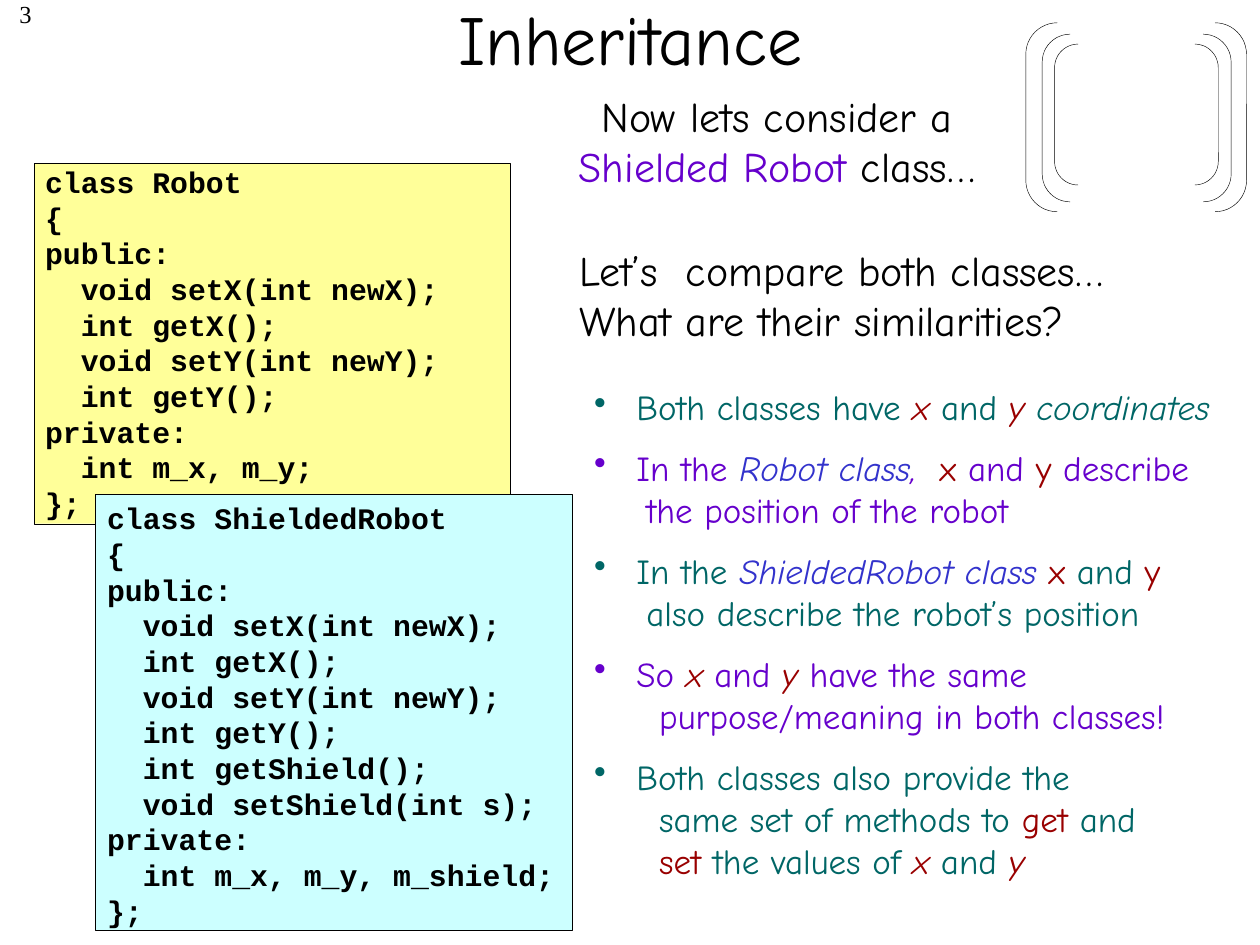
from dataclasses import dataclass
from typing import Any, NamedTuple

from lxml.etree import SubElement
from pptx import Presentation
from pptx.dml.color import RGBColor
from pptx.enum.shapes import MSO_SHAPE
from pptx.enum.text import MSO_ANCHOR, PP_ALIGN
from pptx.oxml.ns import qn
from pptx.util import Cm, Pt

BLACK = RGBColor(0x00, 0x00, 0x00)
PURPLE = RGBColor(0x66, 0x00, 0xCC)
TEAL = RGBColor(0x00, 0x66, 0x66)
RED = RGBColor(0x99, 0x00, 0x00)
BLUE = RGBColor(0x33, 0x33, 0xCC)
YELLOW = RGBColor(0xFF, 0xFF, 0x99)
CYAN = RGBColor(0xCC, 0xFF, 0xFF)

HEADING = {"name": "Comic Neue", "size": Pt(40)}
STATEMENT = {"name": "Comic Neue", "size": Pt(24)}
POINT = {"name": "Comic Neue", "size": Pt(20)}
CODE = {"name": "Courier New", "size": Pt(17), "bold": True}
PAGE_NUMBER = {"name": "Times New Roman", "size": Pt(14)}


class Box(NamedTuple):
    left: float
    top: float
    width: float
    height: float

    def lengths(self) -> list:
        return [Cm(value) for value in self]


class Span(NamedTuple):
    text: str
    color: RGBColor = BLACK
    italic: bool = False


@dataclass
class Listing:
    panel: Box
    text_box: Box
    fill: RGBColor
    lines: list[str]


@dataclass
class Line:
    spans: list[Span]
    margin: float = 0.85
    bulleted: bool = True


ACCESSORS = ["  void setX(int newX);", "  int getX();\v  void setY(int newY);", "  int getY();"]

LISTINGS = [
    Listing(Box(0.69, 3.3, 9.6, 7.26), Box(0.66, 3.18, 11.23, 7.44), YELLOW,
            ["class Robot", "{", "public:", *ACCESSORS,
             "private:", "  int m_x, m_y;", "};"]),
    Listing(Box(1.93, 9.96, 9.6, 8.79), Box(1.91, 9.96, 11.23, 8.97), CYAN,
            ["class ShieldedRobot", "{", "public:", *ACCESSORS,
             "  int getShield();", "  void setShield(int s);",
             "private:", "  int m_x, m_y, m_shield;", "};"]),
]

BRACKETS = [Box(21.01, 0.69, 3.81, 3.38), Box(21.26, 0.89, 3.3, 2.84), Box(20.68, 0.46, 4.45, 3.81)]

SIMILARITIES = [
    Line([Span("Both classes have ", TEAL), Span("x", RED, True), Span(" and ", TEAL),
          Span("y ", RED, True), Span("coordinates", TEAL, True)]),
    Line([Span("In the ", PURPLE), Span("Robot class", BLUE, True), Span(",  ", PURPLE, True),
          Span("x", RED), Span(" and ", PURPLE), Span("y", RED), Span(" describe", PURPLE)]),
    Line([Span("the position of the robot", PURPLE)], 1.05, False),
    Line([Span("In the ", TEAL), Span("ShieldedRobot class ", BLUE, True), Span("x", RED),
          Span(" and ", TEAL), Span("y", RED)]),
    Line([Span("also describe the robot’s position", TEAL)], 1.05, False),
    Line([Span("So ", PURPLE), Span("x", RED, True), Span(" and ", PURPLE),
          Span("y", RED, True), Span(" have the same", PURPLE)]),
    Line([Span("purpose/meaning in both classes!", PURPLE)], 1.31, False),
    Line([Span("Both classes also provide the", TEAL)]),
    Line([Span("same set of methods to ", TEAL), Span("get", RED), Span(" and", TEAL)], 1.31, False),
    Line([Span("set", RED), Span(" the values of ", TEAL), Span("x", RED, True),
          Span(" and ", TEAL), Span("y", RED, True)], 1.31, False),
]


def apply(target: Any, values: dict) -> None:
    for attribute, value in values.items():
        setattr(target, attribute, value)


def write(frame: Any, paragraphs: list[list[Span]], font: dict, layout: dict) -> list:
    frame.word_wrap = True
    written = []
    for index, spans in enumerate(paragraphs):
        paragraph = frame.add_paragraph() if index else frame.paragraphs[0]
        apply(paragraph, layout)
        for span in spans:
            for part_index, part in enumerate(span.text.split("\v")):
                if part_index:
                    paragraph.add_line_break()
                run = paragraph.add_run()
                run.text = part
                apply(run.font, {**font, "italic": span.italic})
                run.font.color.rgb = span.color
        written.append(paragraph)
    return written


def add_text(slide: Any, box: Box, paragraphs: list[list[Span]], font: dict, **layout: Any) -> list:
    frame = slide.shapes.add_textbox(*box.lengths()).text_frame
    return write(frame, paragraphs, font, layout)


def add_outline(slide: Any, preset: MSO_SHAPE, box: Box, fill: RGBColor | None = None) -> None:
    outline = slide.shapes.add_shape(preset, *box.lengths())
    outline.shadow.inherit = False
    outline.line.color.rgb = BLACK
    outline.line.width = Pt(0.25)
    if fill is None:
        outline.fill.background()
    else:
        outline.fill.solid()
        outline.fill.fore_color.rgb = fill


def add_listing(slide: Any, listing: Listing) -> None:
    add_outline(slide, MSO_SHAPE.RECTANGLE, listing.panel, listing.fill)
    add_text(slide, listing.text_box, [[Span(line)] for line in listing.lines], CODE,
             line_spacing=Pt(20.4))


def add_similarities(slide: Any, box: Box, lines: list[Line]) -> None:
    paragraphs = add_text(slide, box, [line.spans for line in lines], POINT)
    for index, (paragraph, line) in enumerate(zip(paragraphs, lines)):
        paragraph.space_before = Pt(10.8 if line.bulleted and index else 0)
        properties = paragraph._p.get_or_add_pPr()
        properties.set("marL", str(Cm(line.margin)))
        properties.set("indent", str(-Cm(line.margin) if line.bulleted else 0))
        if line.bulleted:
            SubElement(properties, qn("a:buChar")).set("char", "•")


def build() -> None:
    presentation = Presentation()
    apply(presentation, {"slide_width": Cm(25.4), "slide_height": Cm(19.05)})
    slide = presentation.slides.add_slide(presentation.slide_layouts[5])

    heading = slide.shapes.title
    apply(heading, dict(zip(Box._fields, Box(1.91, -0.84, 21.59, 3.18).lengths())))
    heading.text_frame.vertical_anchor = MSO_ANCHOR.MIDDLE
    write(heading.text_frame, [[Span("Inheritance")]], HEADING, {"alignment": PP_ALIGN.CENTER})

    add_text(slide, Box(0, -0.15, 0.89, 1.27), [[Span("3")]], PAGE_NUMBER, alignment=PP_ALIGN.RIGHT)
    add_text(slide, Box(11, 1.7, 9.32, 2.31),
             [[Span("Now lets consider a "), Span("Shielded Robot ", PURPLE), Span("class…")]],
             STATEMENT, alignment=PP_ALIGN.CENTER)
    add_text(slide, Box(11.43, 4.8, 13.13, 2.29),
             [[Span("Let’s  compare both classes… What are their similarities?")]], STATEMENT)
    add_similarities(slide, Box(11.73, 7.65, 13.74, 11.2), SIMILARITIES)
    for bracket in BRACKETS:
        add_outline(slide, MSO_SHAPE.DOUBLE_BRACKET, bracket)
    for listing in LISTINGS:
        add_listing(slide, listing)

    presentation.save("out.pptx")


build()
